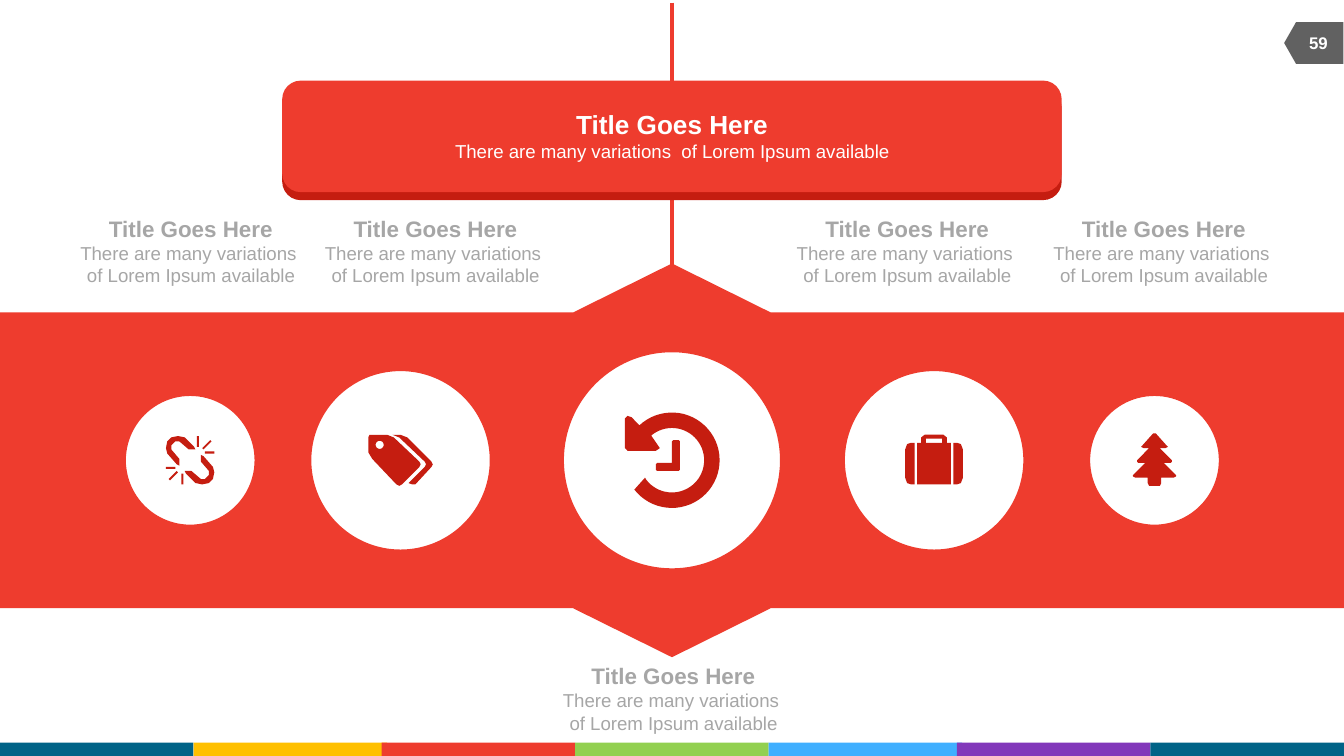
import math
import pptx
import pptx.util
import pptx.dml.color
import pptx.enum.shapes
import pptx.enum.text
import pptx.oxml

Inches, Pt = pptx.util.Inches, pptx.util.Pt
RGBColor = pptx.dml.color.RGBColor
SHAPE = pptx.enum.shapes.MSO_SHAPE
ALIGN = pptx.enum.text.PP_ALIGN
ANCHOR = pptx.enum.text.MSO_ANCHOR

RED = RGBColor(0xEE, 0x3C, 0x2E)
DARK_RED = RGBColor(0xC5, 0x1D, 0x10)
WHITE = RGBColor(0xFF, 0xFF, 0xFF)
GRAY = RGBColor(0xA6, 0xA6, 0xA6)
CHARCOAL = RGBColor(0x61, 0x61, 0x61)
TEAL = RGBColor(0x00, 0x63, 0x87)
AMBER = RGBColor(0xFF, 0xC0, 0x00)
GREEN = RGBColor(0x92, 0xD0, 0x50)
BLUE = RGBColor(0x40, 0xAF, 0xFF)
PURPLE = RGBColor(0x82, 0x38, 0xBA)

# Content
WIDTH = 10
HEIGHT = WIDTH * 9 / 16
MIDDLE, BAND_MIDDLE = WIDTH / 2, 3.425
FONT = "Arial"
TITLE = "Title Goes Here"
BANNER_DETAIL = "There are many variations  of Lorem Ipsum available"
DETAIL = "There are many variations \nof Lorem Ipsum available"
PAGE_NUMBER = "59"
STRIPES = [(0, TEAL), (1.44, AMBER), (2.84, RED), (4.28, GREEN),
           (5.72, BLUE), (7.12, PURPLE), (8.56, TEAL)]
STRIPE_WIDTH, STRIPE_HEIGHT = 1.44, 0.1
STEMS = [(1.49, 2.11), (0.02, 0.63)]
CAPTIONS = [(1.42, 1.55), (3.24, 1.55), (6.75, 1.55), (8.66, 1.55), (5.01, 4.88)]
CAPTION_WIDTH, CAPTION_HEIGHT = 1.99, 0.64
BAND_HEIGHT = 2.93


# Icon outlines, in hundredths of an inch from the centre of their circle
def arc(radius, start, end, x=0, y=0, steps=48):
    angles = [math.radians(start + (end - start) * i / steps) for i in range(steps + 1)]
    return [(x + radius * math.cos(a), y + radius * math.sin(a)) for a in angles]


def mirrored(points):
    return [(-x, y) for x, y in points]


def turned(points):
    return [(-x, -y) for x, y in points]


CLOCK = [
    arc(35.5, 142, -133)
    + [(-30, -32), (-33, -33), (-35, -31), (-35, -9), (-33, -7), (-12, -7), (-9, -9)]
    + arc(24, -130, 142) + [(-20, 13)],
    [(1, -15), (5, -15), (6, -14), (6, 7), (5, 8), (-11, 8), (-12, 7),
     (-12, 3), (-11, 2), (0, 2), (0, -14)],
]
TAGS = [
    [(14, 5), (1, 18), (-1, 19), (-3, 18), (-21, -1), (-24, -6), (-24, -17),
     (-23, -19), (-20, -19), (-10, -19), (-5, -17), (14, 1), (15, 3)],
    arc(3, 0, 360, -15.5, -11.5),
    [(23, 5), (11, 18), (9, 18), (6, 17), (18, 5), (19, 3), (18, 1), (-1, -17),
     (-6, -19), (0, -19), (5, -17), (23, 1), (24, 3)],
]
CASE_END = [(-14.5, 18), (-17, 18), (-20, 17), (-21.5, 13), (-21.5, -8),
            (-20, -12), (-17, -13), (-14.5, -13)]
CASE_SIDE = [(-12.5, 18), (-12.5, -13), (-9.5, -13), (-9.5, -17), (-7, -19)]
SUITCASE = [
    CASE_END, mirrored(CASE_END),
    CASE_SIDE + mirrored(CASE_SIDE[::-1]),
    [(-6, -13), (-6, -16), (6, -16), (6, -13)],
]
LINK = [(-1, -8), (-8, -14), (-11, -14), (-14, -11), (-14, -8), (-8, -1), (-8, 4),
        (-10, 3), (-17, -5), (-18, -9), (-17, -14), (-14, -17), (-9, -18),
        (-4, -17), (3, -10), (4, -8)]
SPARKS = [
    [(-18, 5), (-11, 5), (-11, 6.5), (-18, 6.5)],
    [(-16, 14), (-10, 8), (-9, 9), (-15, 15)],
    [(-6.5, 10), (-5, 10), (-5, 18), (-6.5, 18)],
]
CHAIN_HALF = [LINK] + SPARKS
CHAIN = CHAIN_HALF + [turned(part) for part in CHAIN_HALF]
TREE_SIDE = [(0, -20), (1, -20), (9, -11), (10, -10), (8, -9), (4, -9), (13, 0),
             (13, 1), (12, 2), (7, 2), (16, 11), (16, 12), (14, 13), (5, 13),
             (5, 17), (4, 19)]
TREE = [TREE_SIDE + mirrored(TREE_SIDE[:0:-1])]

# Circle centre, diameter, icon
CIRCLES = [(1.415, 1.02, CHAIN), (2.98, 1.39, TAGS), (MIDDLE, 1.67, CLOCK),
           (6.95, 1.39, SUITCASE), (8.59, 1.02, TREE)]

deck = pptx.Presentation()
deck.slide_width, deck.slide_height = Inches(WIDTH), Inches(HEIGHT)
page = deck.slides.add_slide(deck.slide_layouts[6])


def paint(shape, fill, outline=None):
    shape.shadow.inherit = False
    shape.fill.solid()
    shape.fill.fore_color.rgb = fill
    if outline is None:
        shape.line.fill.background()
    else:
        shape.line.color.rgb = outline
        shape.line.width = Pt(4.5)


def add_block(kind, left, top, width, height, fill, outline=None):
    shape = page.shapes.add_shape(kind, *map(Inches, (left, top, width, height)))
    paint(shape, fill, outline)
    return shape


def add_stem(top, bottom):
    stem = page.shapes.add_connector(
        pptx.enum.shapes.MSO_CONNECTOR.STRAIGHT,
        *map(Inches, (MIDDLE, top, MIDDLE, bottom)))
    stem.line.color.rgb = RED
    stem.line.width = Pt(2.25)
    stem._element.spPr.append(pptx.oxml.parse_xml(
        '<a:effectLst xmlns:a="http://schemas.openxmlformats.org/drawingml/2006/main"/>'))


def add_text(centre, top, width, height, lines, color, anchor=ANCHOR.TOP):
    box = page.shapes.add_textbox(*map(Inches, (centre - width / 2, top, width, height)))
    frame = box.text_frame
    frame.word_wrap = True
    frame.vertical_anchor = anchor
    for index, (text, size, bold) in enumerate(lines):
        para = frame.add_paragraph() if index else frame.paragraphs[0]
        para.text = text
        para.alignment = ALIGN.CENTER
        for span in para.runs:
            span.font.name = FONT
            span.font.size = Pt(size)
            span.font.bold = bold
            span.font.color.rgb = color


def add_icon(centre, parts):
    outlines = [[(Inches(centre + x / 100), Inches(BAND_MIDDLE + y / 100))
                 for x, y in part] for part in parts]
    builder = page.shapes.build_freeform(*outlines[0][0])
    for index, outline in enumerate(outlines):
        if index:
            builder.move_to(*outline[0])
        builder.add_line_segments(outline[1:], close=True)
    paint(builder.convert_to_shape(), DARK_RED)


# Footer stripes and page number
for left, color in STRIPES:
    add_block(SHAPE.RECTANGLE, left, HEIGHT - STRIPE_HEIGHT,
              STRIPE_WIDTH, STRIPE_HEIGHT, color)
flag = add_block(SHAPE.FLOWCHART_OFFPAGE_CONNECTOR, 9.62, 0.1, 0.31, 0.44, CHARCOAL)
flag.rotation = 90
add_text(9.81, 0.17, 0.42, 0.3, [(PAGE_NUMBER, 9, True)], WHITE, ANCHOR.MIDDLE)

# Stems and the band with its two points
for top, bottom in STEMS:
    add_stem(top, bottom)
band = add_block(SHAPE.LEFT_RIGHT_ARROW_CALLOUT, MIDDLE - BAND_HEIGHT / 2,
                 BAND_MIDDLE - WIDTH / 2, BAND_HEIGHT, WIDTH, RED)
band.rotation = 270
for index, share in enumerate((0.5, 0.25, 0.124, 0.751)):
    band.adjustments[index] = share

# Banner
for top, color in ((0.66, DARK_RED), (0.6, RED)):
    add_block(SHAPE.ROUNDED_RECTANGLE, 2.1, top, 5.8, 0.83, color)
add_text(MIDDLE, 0.755, 4.38, 0.5, [(TITLE, 14, True), (BANNER_DETAIL, 10, False)], WHITE)

# Circles with icons
for centre, size, icon in CIRCLES:
    add_block(SHAPE.OVAL, centre - size / 2, BAND_MIDDLE - size / 2,
              size, size, WHITE, RED)
    add_icon(centre, icon)

# Captions
for centre, top in CAPTIONS:
    add_text(centre, top, CAPTION_WIDTH, CAPTION_HEIGHT,
             [(TITLE, 12, True), (DETAIL, 10, False)], GRAY)

deck.save("out.pptx")
